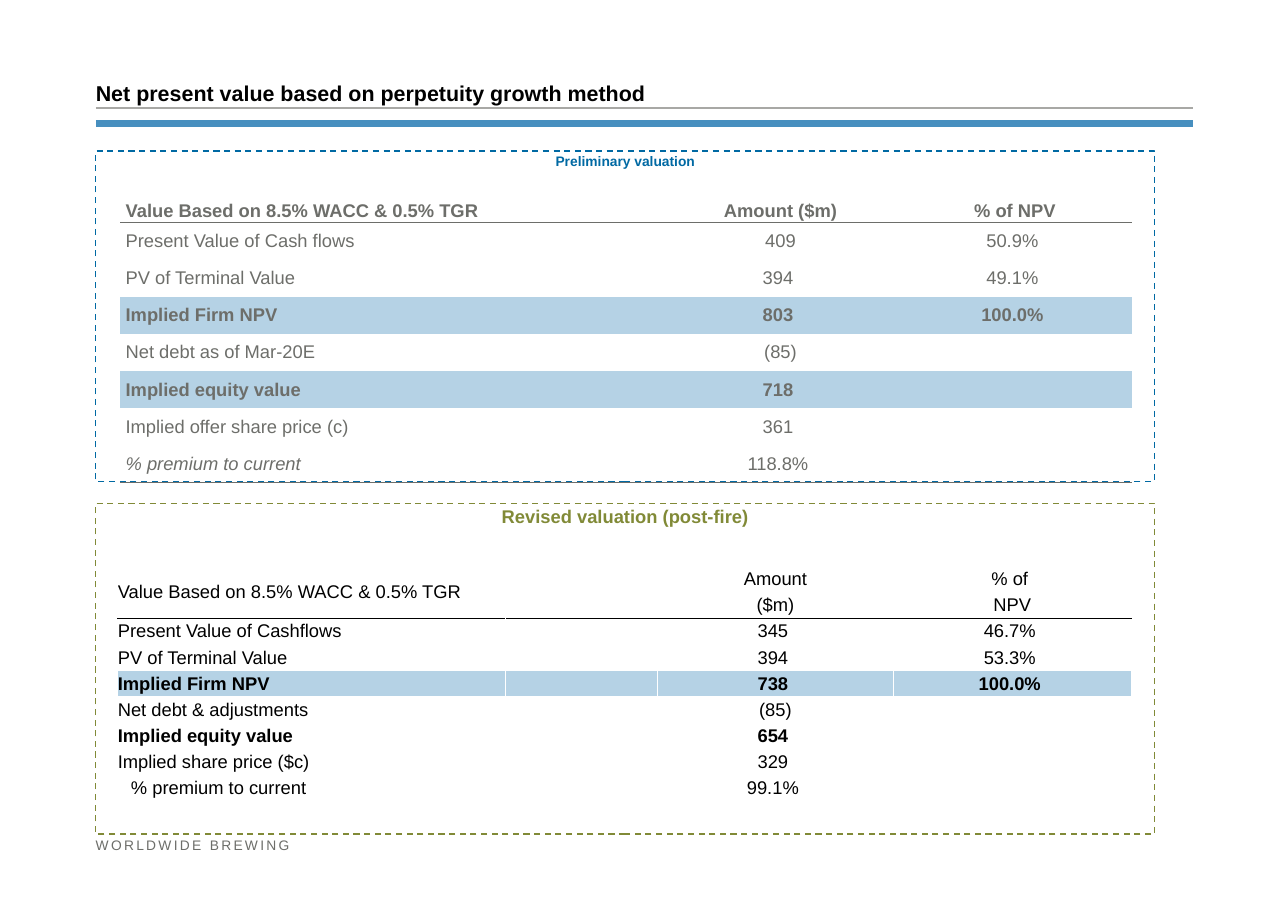
from dataclasses import dataclass

from lxml.etree import SubElement
from pptx import Presentation
from pptx.dml.color import RGBColor
from pptx.enum.dml import MSO_LINE
from pptx.enum.shapes import MSO_CONNECTOR, MSO_SHAPE
from pptx.enum.text import MSO_ANCHOR, MSO_AUTO_SIZE, PP_ALIGN
from pptx.oxml.ns import qn
from pptx.util import Pt

TOP, MIDDLE, BOTTOM = MSO_ANCHOR.TOP, MSO_ANCHOR.MIDDLE, MSO_ANCHOR.BOTTOM
LEFT, CENTER = PP_ALIGN.LEFT, PP_ALIGN.CENTER


@dataclass(frozen=True)
class Theme:
    """Colours, font and type sizes of the page."""
    font: str = "Arial"
    black: str = "000000"
    white: str = "FFFFFF"
    grey: str = "6D6E6A"
    rule: str = "A8A8A5"
    bar: str = "478FBF"
    blue: str = "0069A3"
    green: str = "818A37"
    band: str = "B5D2E5"
    title: float = 14
    body: float = 12
    small: float = 9


THEME = Theme()

TITLE = "Net present value based on perpetuity growth method"
FOOTER = "WORLDWIDE BREWING"
BASIS = "Value Based on 8.5% WACC & 0.5% TGR"

# Panel: heading, colour, heading size, top
PANELS = [
    ("Preliminary valuation", THEME.blue, THEME.small, 98.6),
    ("Revised valuation (post-fire)", THEME.green, THEME.body, 329),
]

# Table row: cell texts, then style flags (b bold, i italic label, f filled band)
PRELIMINARY = [
    ((BASIS, "Amount ($m)", "% of NPV"), "b"),
    (("Present Value of Cash flows", "409", "50.9% "), ""),
    (("PV of Terminal Value", "394 ", "49.1% "), ""),
    (("Implied Firm NPV", "803 ", "100.0% "), "bf"),
    (("Net debt as of Mar-20E", "(85)", ""), ""),
    (("Implied equity value", "718 ", ""), "bf"),
    (("Implied offer share price (c)", "361 ", ""), ""),
    (("% premium to current", "118.8% ", ""), "i"),
]
REVISED = [
    ((BASIS, "", "Amount", "% of "), ""),
    (("", "", "($m)", "NPV"), ""),
    (("Present Value of Cashflows", "", "345 ", "46.7% "), ""),
    (("PV of Terminal Value", "", "394 ", "53.3% "), ""),
    (("Implied Firm NPV", "", "738 ", "100.0% "), "bf"),
    (("Net debt & adjustments", "", "(85)", ""), ""),
    (("Implied equity value", "", "654 ", ""), "b"),
    (("Implied share price ($c)", "", "329 ", ""), ""),
    (("% premium to current", "", "99.1% ", ""), ""),
]

PAGE_WIDTH, PAGE_HEIGHT = 841.7, 595.4
MARGIN, RULE_WIDTH = 62.6, 717.1
PANEL_WIDTH, PANEL_HEIGHT = 692, 216
NO_GRID = "{2D5ABB26-0587-4C30-8999-92F81FD0307C}"


def set_margins(target, left, top, right, bottom):
    """Set the inner margins of a text frame or table cell."""
    target.margin_left, target.margin_top = Pt(left), Pt(top)
    target.margin_right, target.margin_bottom = Pt(right), Pt(bottom)


def write(frame, text, size, color, align=LEFT, bold=False, italic=False):
    """Put one formatted paragraph in a text frame and return it."""
    para = frame.paragraphs[0]
    para.text = text
    para.alignment = align
    for span in para.runs:
        font = span.font
        font.name, font.size = THEME.font, Pt(size)
        font.bold, font.italic = bold, italic
        font.color.rgb = RGBColor.from_string(color)
    if not text:
        SubElement(para._p, qn("a:endParaRPr"), sz=str(int(size * 100)))
    return para


def add_rule(page, y, color, width):
    """Draw a horizontal rule across the page."""
    rule = page.shapes.add_connector(
        MSO_CONNECTOR.STRAIGHT, Pt(MARGIN), Pt(y), Pt(MARGIN + RULE_WIDTH), Pt(y))
    rule.line.color.rgb = RGBColor.from_string(color)
    rule.line.width = Pt(width)
    SubElement(rule._element.spPr, qn("a:effectLst"))


def add_panel(page, heading, color, size, top):
    """Draw a dashed frame with a centred heading at its top."""
    panel = page.shapes.add_shape(
        MSO_SHAPE.RECTANGLE, Pt(MARGIN), Pt(top), Pt(PANEL_WIDTH), Pt(PANEL_HEIGHT))
    panel.shadow.inherit = False
    panel.fill.background()
    panel.line.color.rgb = RGBColor.from_string(color)
    panel.line.width = Pt(1)
    panel.line.dash_style = MSO_LINE.DASH
    frame = panel.text_frame
    frame.word_wrap = True
    frame.vertical_anchor = TOP
    set_margins(frame, 7.2, 1.4, 7.2, 3.6)
    write(frame, heading, size, color, CENTER, bold=True)


def set_borders(cell, borders):
    """Add cell borders from a dict of side to (colour, width)."""
    properties = cell._tc.get_or_add_tcPr()
    for side in "LRTB":
        if side in borders:
            color, width = borders[side]
            line = SubElement(properties, qn("a:ln" + side), w=str(Pt(width)))
            fill = SubElement(line, qn("a:solidFill"))
            SubElement(fill, qn("a:srgbClr"), val=color)


def add_valuation(page, rows, left, top, widths, height, color, label_margins,
                  borders_for, fill=None, value_space=0):
    """Build a valuation table; borders_for gives the borders of a row."""
    frame = page.shapes.add_table(len(rows), len(widths), Pt(left), Pt(top),
                                  Pt(sum(widths)), Pt(height * len(rows)))
    table = frame.table
    table.first_row = table.horz_banding = False
    table._tbl.tblPr.find(qn("a:tableStyleId")).text = NO_GRID
    for column, width in zip(table.columns, widths):
        column.width = Pt(width)
    for row_index, (texts, flags) in enumerate(rows):
        table.rows[row_index].height = Pt(height)
        shade = THEME.band if "f" in flags else fill
        for column_index, text in enumerate(texts):
            cell = table.cell(row_index, column_index)
            is_label = column_index == 0
            set_margins(cell, *(label_margins if is_label else (0, 0, 0, 0)))
            cell.vertical_anchor = MIDDLE
            para = write(cell.text_frame, text, THEME.body, color,
                         LEFT if is_label else CENTER,
                         "b" in flags, is_label and "i" in flags)
            if row_index and not is_label:
                para.space_before = Pt(value_space)
            set_borders(cell, borders_for(row_index))
            if shade:
                cell.fill.solid()
                cell.fill.fore_color.rgb = RGBColor.from_string(shade)
            else:
                cell.fill.background()
    return table


def preliminary_borders(row):
    """Underline the header and the last row."""
    return {"B": (THEME.grey, 0.5)} if row in (0, len(PRELIMINARY) - 1) else {}


def revised_borders(row):
    """White grid with a black line under the two header rows."""
    borders = dict.fromkeys("LRTB", (THEME.white, 1))
    if row in (1, 2):
        borders["B" if row == 1 else "T"] = (THEME.black, 1)
    return borders


deck = Presentation()
deck.slide_width, deck.slide_height = Pt(PAGE_WIDTH), Pt(PAGE_HEIGHT)
page = deck.slides.add_slide(deck.slide_layouts[5])

title = page.shapes.title
title.left, title.top = Pt(MARGIN), Pt(51.8)
title.width, title.height = Pt(RULE_WIDTH), Pt(19.4)
title.text_frame.auto_size = MSO_AUTO_SIZE.NONE
title.text_frame.vertical_anchor = BOTTOM
set_margins(title.text_frame, 0, 3.6, 3.6, 2.2)
write(title.text_frame, TITLE, THEME.title, THEME.black, bold=True)
add_rule(page, 70.6, THEME.rule, 0.75)
add_rule(page, 80.7, THEME.bar, 4.5)

footer = page.shapes.add_textbox(Pt(MARGIN), Pt(548.6), Pt(144), Pt(9.4))
footer.text_frame.word_wrap = False
footer.text_frame.vertical_anchor = BOTTOM
set_margins(footer.text_frame, 0, 0, 0, 0)
footer_para = write(footer.text_frame, FOOTER, THEME.small, THEME.grey)
footer_para.line_spacing = 1.1
footer_para.runs[0].font._element.set("spc", "150")

for panel in PANELS:
    add_panel(page, *panel)

preliminary = add_valuation(
    page, PRELIMINARY, 78.5, 121, (355, 153.2, 153.2), 24.3, THEME.grey,
    (3.6, 0.7, 3.6, 0.7), preliminary_borders, value_space=2.6)
for header in preliminary.rows[0].cells:
    header.vertical_anchor = BOTTOM
    set_margins(header, 3.6, 0.7, 3.6, 0.7)

revised = add_valuation(
    page, REVISED, 77, 370, (253.4, 99.4, 154, 155.6), 17.1, THEME.black,
    (0, 0, 0, 0), revised_borders, fill=THEME.white)
revised.cell(0, 0).merge(revised.cell(1, 1))
set_borders_row = len(REVISED) - 1
revised.cell(set_borders_row, 0).margin_left = Pt(8.6)

deck.save("out.pptx")
